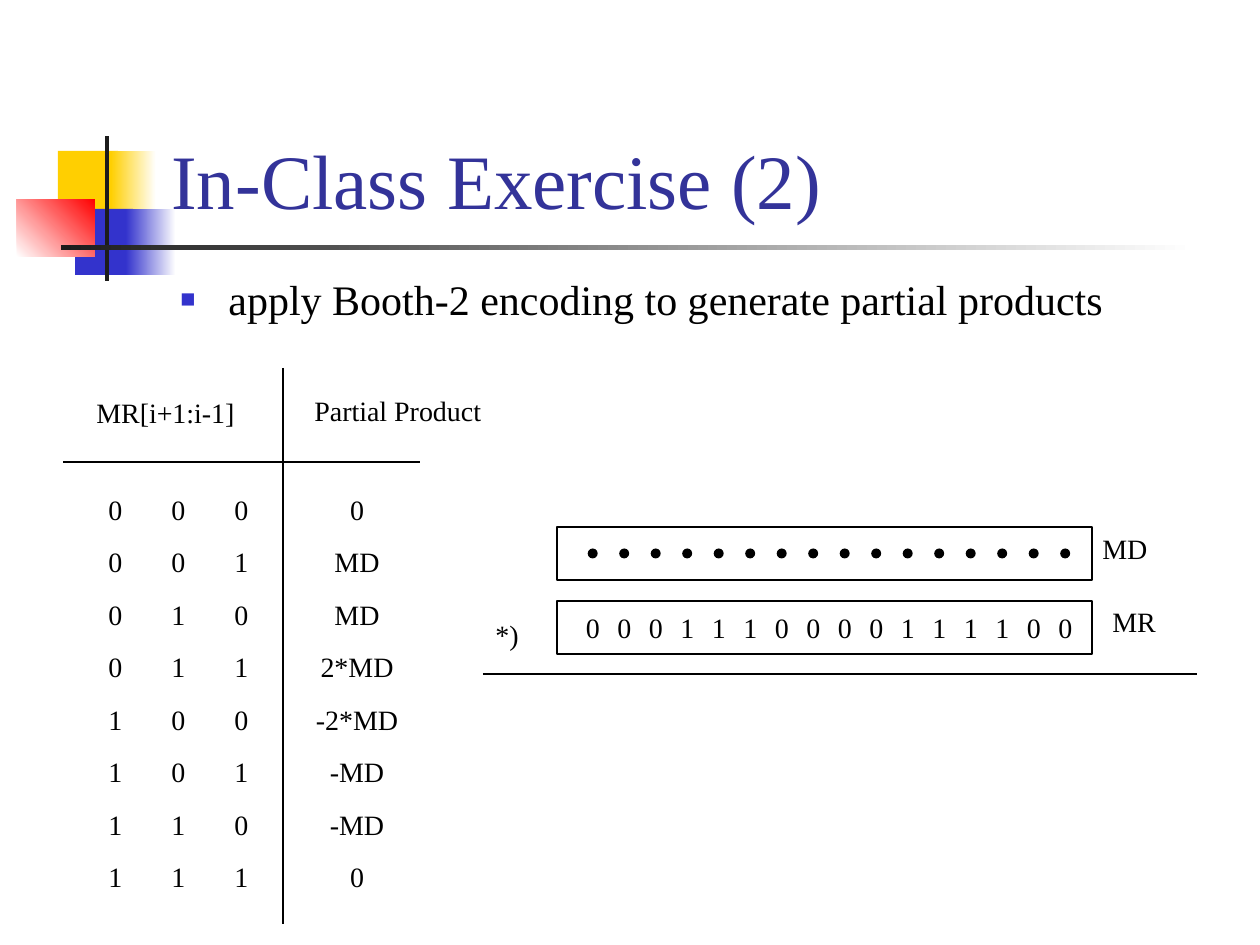
from collections import namedtuple
from dataclasses import dataclass

from lxml.etree import SubElement
from pptx import Presentation
from pptx.dml.color import RGBColor as Color
from pptx.enum.shapes import MSO_CONNECTOR as Connector, MSO_SHAPE as Preset
from pptx.enum.text import MSO_ANCHOR as Anchor, MSO_AUTO_SIZE as AutoSize, PP_ALIGN as Align
from pptx.oxml.ns import qn
from pptx.util import Pt

EMU_PER_PX = 914400 / 126
Box = namedtuple("Box", "left top width height")


@dataclass(frozen=True)
class Theme:
    font: str = "Times New Roman"
    ink: str = "000000"
    title: str = "333399"
    yellow: str = "FFCF01"
    blue: str = "3333CC"
    red: str = "FF0000"
    bar: str = "1C1C1C"
    paper: str = "FFFFFF"
    title_size: int = 44
    body_size: int = 24
    label_size: int = 16
    line_width: float = 0.75


THEME = Theme()

BOOTH_ROWS = [
    ("000", "0"),
    ("001", "MD"),
    ("010", "MD"),
    ("011", "2*MD"),
    ("100", "-2*MD"),
    ("101", "-MD"),
    ("110", "-MD"),
    ("111", "0"),
]
MULTIPLIER = "0001110000111100"


def px(value):
    return round(value * EMU_PER_PX)


def inside(region, left, top, width, height):
    return Box(region.left + left, region.top + top, width, height)


def add_text(shapes, box, text, size=THEME.label_size, color=THEME.ink,
             align=Align.LEFT, anchor=Anchor.TOP, wrap=False, grow=False):
    shape = shapes.add_textbox(*map(px, box))
    frame = shape.text_frame
    frame.word_wrap = wrap
    frame.vertical_anchor = anchor
    frame.auto_size = AutoSize.SHAPE_TO_FIT_TEXT if grow else AutoSize.NONE
    paragraph = frame.paragraphs[0]
    paragraph.alignment = align
    run = paragraph.add_run()
    run.text = text
    run.font.name = THEME.font
    run.font.size = Pt(size)
    run.font.color.rgb = Color.from_string(color)
    return paragraph


def add_cell(shapes, box, text):
    add_text(shapes, box, text, align=Align.CENTER, anchor=Anchor.MIDDLE)


def add_filled(shapes, box, color, fade_to=None, angle=0, preset=Preset.RECTANGLE):
    shape = shapes.add_shape(preset, *map(px, box))
    shape.shadow.inherit = False
    shape.line.fill.background()
    if fade_to is None:
        shape.fill.solid()
        shape.fill.fore_color.rgb = Color.from_string(color)
        return
    shape.fill.gradient()
    shape.fill.gradient_angle = angle
    for stop, stop_color in zip(shape.fill.gradient_stops, (color, fade_to)):
        stop.color.rgb = Color.from_string(stop_color)


def add_frame(shapes, box):
    shape = shapes.add_shape(Preset.RECTANGLE, *map(px, box))
    shape.shadow.inherit = False
    shape.fill.background()
    shape.line.color.rgb = Color.from_string(THEME.ink)
    shape.line.width = Pt(THEME.line_width)


def add_line(shapes, left, top, right, bottom):
    line = shapes.add_connector(Connector.STRAIGHT, *map(px, (left, top, right, bottom)))
    line.line.color.rgb = Color.from_string(THEME.ink)
    line.line.width = Pt(THEME.line_width)
    SubElement(line._element.spPr, qn("a:effectLst"))


def add_bullet(paragraph, indent):
    properties = paragraph._p.get_or_add_pPr()
    properties.set("marL", str(px(indent)))
    properties.set("indent", str(px(-indent)))
    color = SubElement(properties, qn("a:buClr"))
    SubElement(color, qn("a:srgbClr"), val=THEME.blue)
    SubElement(properties, qn("a:buSzPct"), val="60000")
    SubElement(properties, qn("a:buFont"), typeface=THEME.font)
    SubElement(properties, qn("a:buChar"), char="■")


def draw_ornament(shapes, region):
    add_filled(shapes, inside(region, 41, 15, 60, 66), THEME.yellow)
    add_filled(shapes, inside(region, 94, 15, 45, 66), THEME.yellow, THEME.paper)
    add_filled(shapes, inside(region, 58, 73, 58, 66), THEME.blue)
    add_filled(shapes, inside(region, 109, 73, 50, 66), THEME.blue, THEME.paper)
    add_filled(shapes, inside(region, 0, 63, 78, 58), THEME.paper, THEME.red, angle=45)
    add_filled(shapes, inside(region, 88, 0, 4, region.height), THEME.bar)
    add_filled(shapes, inside(region, 44, 109, region.width - 44, 5), THEME.bar, THEME.paper)


def draw_heading(shapes, region):
    add_text(shapes, inside(region, 0, 0, 1074, 202), "In-Class Exercise (2)",
             THEME.title_size, THEME.title, anchor=Anchor.BOTTOM, wrap=True)
    paragraph = add_text(shapes, inside(region, 9, 244, 1071, 73),
                         "apply Booth-2 encoding to generate partial products",
                         THEME.body_size, wrap=True)
    add_bullet(paragraph, 48)
    paragraph.line_spacing = 0.9


def draw_booth_table(shapes, region):
    bit_width, result_width, header_height = 63, 168, 115
    row_height = 420 / len(BOOTH_ROWS)
    for row, (bits, result) in enumerate(BOOTH_ROWS):
        top = header_height + row * row_height
        for column, bit in enumerate(bits):
            add_cell(shapes, inside(region, 21 + column * bit_width, top, bit_width, row_height), bit)
        add_cell(shapes, inside(region, 21 + len(bits) * bit_width, top, result_width, row_height), result)
    rule_top, divider_left = region.top + 94, region.left + 220
    add_line(shapes, region.left, rule_top, region.left + region.width, rule_top)
    add_line(shapes, divider_left, region.top, divider_left, region.top + region.height)
    add_text(shapes, inside(region, 21, 21, 165, 47), "MR[i+1:i-1]", grow=True)
    add_text(shapes, inside(region, 239, 19, 193, 47), "Partial Product", grow=True)


def register_cells(register, count):
    width = 504 / count
    return [inside(register, 20 + index * width, 11, width, 31) for index in range(count)]


def draw_multiplication(shapes, region):
    multiplicand = inside(region, 74, 2, 535, 53)
    multiplier = inside(region, 74, 76, 535, 53)
    dot = 10
    for cell in register_cells(multiplicand, len(MULTIPLIER)):
        dot_box = inside(cell, (cell.width - dot) / 2, (cell.height - dot) / 2, dot, dot)
        add_filled(shapes, dot_box, THEME.ink, preset=Preset.OVAL)
    for cell, bit in zip(register_cells(multiplier, len(MULTIPLIER)), MULTIPLIER):
        add_cell(shapes, cell, bit)
    for register in (multiplicand, multiplier):
        add_frame(shapes, register)
    add_text(shapes, inside(region, 607, 0, 71, 47), "MD", grow=True)
    add_text(shapes, inside(region, 617, 73, 69, 47), "MR", grow=True)
    add_text(shapes, inside(region, 0, 86, 49, 47), "*)", grow=True)
    bottom = region.top + region.height
    add_line(shapes, region.left, bottom, region.left + region.width, bottom)


def main():
    presentation = Presentation()
    presentation.slide_width = px(1260)
    presentation.slide_height = px(945)
    slide = presentation.slides.add_slide(presentation.slide_layouts[6])
    draw_ornament(slide.shapes, Box(17, 136, 1178, 145))
    draw_heading(slide.shapes, Box(159, 29, 1080, 317))
    draw_booth_table(slide.shapes.add_group_shape().shapes, Box(63, 368, 357, 556))
    draw_multiplication(slide.shapes.add_group_shape().shapes, Box(483, 525, 714, 149))
    presentation.save("out.pptx")


if __name__ == "__main__":
    main()
